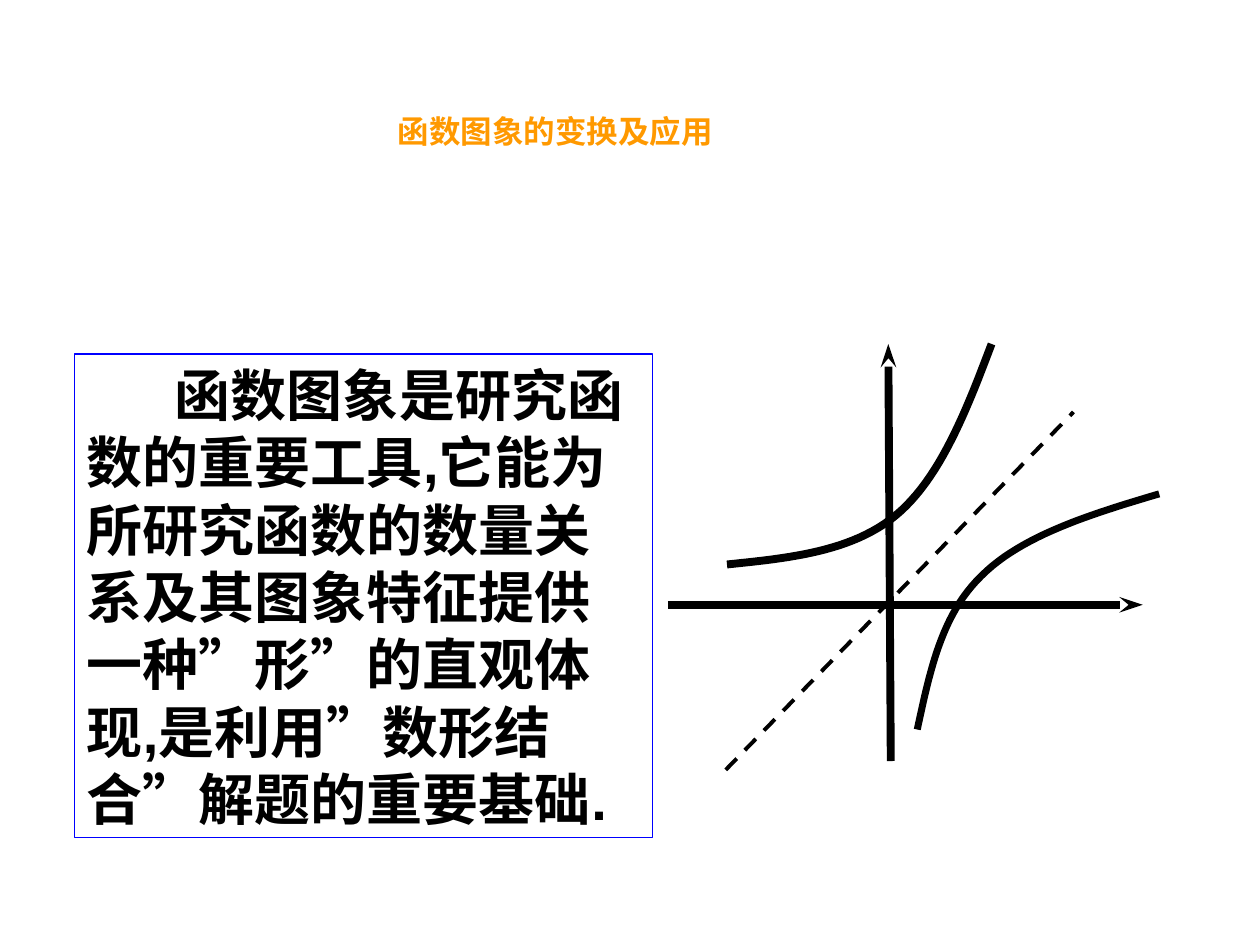
from lxml.etree import SubElement
from pptx import Presentation
from pptx.dml.color import RGBColor
from pptx.enum.dml import MSO_LINE
from pptx.enum.shapes import MSO_CONNECTOR, MSO_SHAPE
from pptx.enum.text import MSO_ANCHOR, PP_ALIGN
from pptx.oxml.ns import qn
from pptx.util import Inches, Pt

COLORS = {"title": "FF9900", "ink": "000000", "frame": "0000FF"}
ASIAN_FONT = "Noto Sans CJK SC"
BODY = (
    "函数图象是研究函数的重要工具,它能为所研究函数的数量关系及其图象特征"
    "提供一种”形”的直观体现,是利用”数形结合”解题的重要基础."
)
EXPONENTIAL = [
    (7.87, 2.73), (7.67, 3.26), (7.46, 3.8), (7.11, 4.09),
    (6.76, 4.38), (6.26, 4.43), (5.77, 4.48),
]
LOGARITHM = [
    (9.2, 3.92), (8.66, 4.08), (8.11, 4.25), (7.79, 4.57),
    (7.47, 4.88), (7.38, 5.33), (7.28, 5.79),
]


def color(name):
    return RGBColor.from_string(COLORS[name])


def style_line(line, name, width):
    line.color.rgb = color(name)
    line.width = Pt(width)


def add_span(para, text, size, name, font):
    span = para.add_run()
    span.text = text
    span.font.size = Pt(size)
    span.font.bold = True
    span.font.name = font
    span.font.color.rgb = color(name)
    SubElement(span.font._element, qn("a:ea"), typeface=ASIAN_FONT)


def add_title(page):
    box = page.shapes.add_textbox(Inches(1.61), Inches(0.84), Inches(5.59), Inches(1.5))
    box.text_frame.word_wrap = False
    para = box.text_frame.paragraphs[0]
    para.alignment = PP_ALIGN.CENTER
    add_span(para, "函数图象的变换及应用", 18, "title", ASIAN_FONT)


def add_framed_text(page):
    box = page.shapes.add_shape(
        MSO_SHAPE.RECTANGLE, Inches(0.59), Inches(2.81), Inches(4.59), Inches(3.84)
    )
    box.shadow.inherit = False
    box.fill.background()
    style_line(box.line, "frame", 0.75)
    frame = box.text_frame
    frame.word_wrap = True
    frame.vertical_anchor = MSO_ANCHOR.TOP
    para = frame.paragraphs[0]
    para.alignment = PP_ALIGN.LEFT
    para.line_spacing = Pt(38.5)
    para._p.get_or_add_pPr().set("indent", str(Inches(0.7)))
    add_span(para, BODY, 32, "ink", "Arial")


def add_line(page, start, end, width):
    line = page.shapes.add_connector(
        MSO_CONNECTOR.STRAIGHT, *(Inches(value) for value in start + end)
    )
    style_line(line.line, "ink", width)
    SubElement(line._element.spPr, qn("a:effectLst"))
    return line


def add_axis(page, start, end):
    axis = add_line(page, start, end, 4.5)
    SubElement(axis.line._get_or_add_ln(), qn("a:tailEnd"), type="stealth", w="sm")


def curve_points(controls, steps=24):
    """Sample a chain of cubic Bezier segments that share their end points."""
    points = [controls[0]]
    for first in range(0, len(controls) - 1, 3):
        segment = controls[first:first + 4]
        for step in range(1, steps + 1):
            t = step / steps
            weights = ((1 - t) ** 3, 3 * t * (1 - t) ** 2, 3 * t * t * (1 - t), t ** 3)
            points.append(tuple(
                sum(weight * point[axis] for weight, point in zip(weights, segment))
                for axis in (0, 1)
            ))
    return [(Inches(x), Inches(y)) for x, y in points]


def add_curve(page, controls, width):
    start, *rest = curve_points(controls)
    builder = page.shapes.build_freeform(*start)
    builder.add_line_segments(rest, close=False)
    curve = builder.convert_to_shape()
    curve.shadow.inherit = False
    curve.fill.background()
    style_line(curve.line, "ink", width)


def main():
    deck = Presentation()
    deck.slide_width, deck.slide_height = Inches(10), Inches(7.5)
    page = deck.slides.add_slide(deck.slide_layouts[6])
    add_title(page)
    add_axis(page, (5.3, 4.8), (9.07, 4.8))
    add_axis(page, (7.07, 6.04), (7.05, 2.73))
    add_curve(page, EXPONENTIAL, 4.5)
    add_curve(page, LOGARITHM, 4)
    mirror = add_line(page, (5.76, 6.11), (8.52, 3.27), 2.25)
    mirror.line.dash_style = MSO_LINE.DASH
    add_framed_text(page)
    deck.save("out.pptx")


if __name__ == "__main__":
    main()
